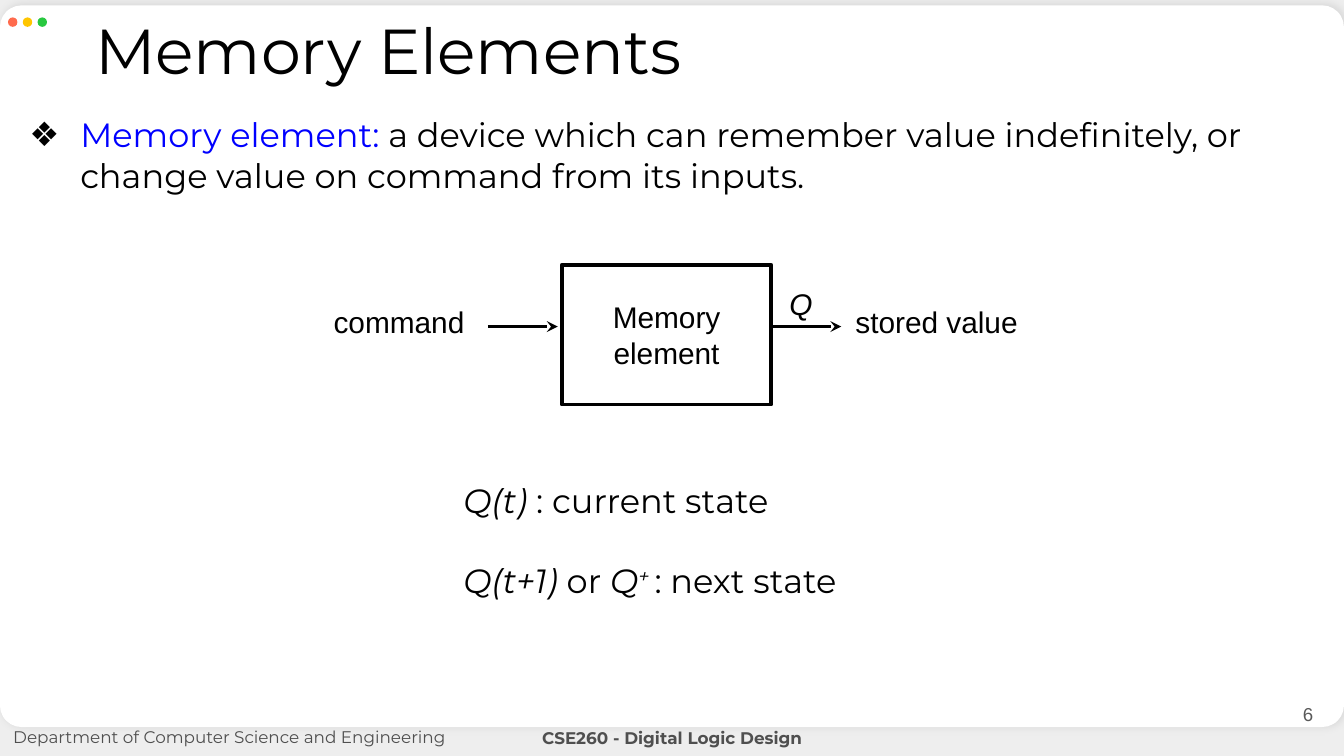
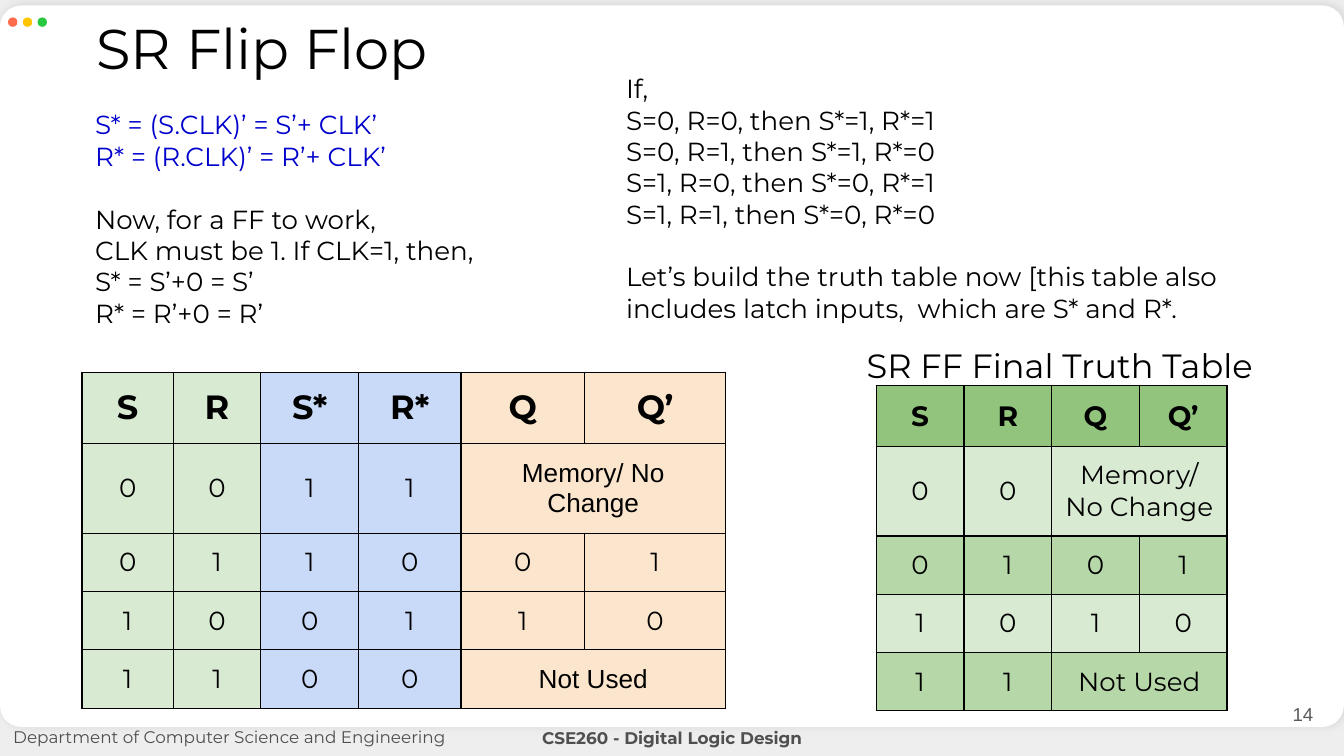
from dataclasses import dataclass

from lxml import etree
from pptx import Presentation
from pptx.dml.color import RGBColor
from pptx.enum.shapes import MSO_CONNECTOR, MSO_SHAPE
from pptx.enum.text import MSO_ANCHOR, PP_ALIGN
from pptx.oxml.ns import qn
from pptx.util import Inches, Pt

LEFT, CENTER, RIGHT = PP_ALIGN.LEFT, PP_ALIGN.CENTER, PP_ALIGN.RIGHT
TOP, MIDDLE = MSO_ANCHOR.TOP, MSO_ANCHOR.MIDDLE
RECT, ROUNDED, OVAL = MSO_SHAPE.RECTANGLE, MSO_SHAPE.ROUNDED_RECTANGLE, MSO_SHAPE.OVAL
STRAIGHT = MSO_CONNECTOR.STRAIGHT


@dataclass(frozen=True)
class Theme:
    main_font: str = "Montserrat"
    plain_font: str = "Arial"
    backdrop: str = "EEEEEE"
    card: str = "FFFFFF"
    ink: str = "000000"
    footer_ink: str = "4F4F4F"
    number_ink: str = "595959"
    term: str = "0000FF"
    equation: str = "0000CC"
    dots: tuple = ("FF6B4D", "FFC600", "28C840")
    pale_green: str = "D9EAD3"
    mid_green: str = "B6D7A8"
    deep_green: str = "93C47D"
    pale_blue: str = "C9DAF8"
    pale_orange: str = "FCE5CD"
    body: int = 18
    diagram: int = 16
    final_header: int = 15
    detail: int = 14
    number: int = 10
    footer: int = 9
    line_height: float = 1.2


THEME = Theme()
ITALIC = {"italic": True}

DEPARTMENT = "Department of Computer Science and Engineering"
COURSE = "CSE260 - Digital Logic Design"

DEFINITION = [[
    ("Memory element:", {"color": THEME.term}),
    (" a device which can remember value indefinitely, or change value on command from its inputs.", {}),
]]
STATES = [
    [("Q(t) ", ITALIC), (": current state", {})],
    [("Q(t+1)", ITALIC), (" or ", {}), ("Q", ITALIC),
     ("+ ", {"italic": True, "raised": True}), (": next state", {})],
]
SIGNALS = [
    ("command ", 2.22, 2.17, 1.56, {"inset": 0.09}),
    ("stored value ", 6.22, 2.17, 1.56, {"inset": 0.09}),
    ("Q", 5.7, 2.08, 0.52, {"inset": 0.05, "italic": True}),
]
ARROW_STARTS = (3.63, 5.74)
ARROW_LENGTH, ARROW_Y = 0.52, 2.43

EQUATIONS = [
    [("S* = (S.CLK)’ = S’+ CLK’", {"color": THEME.equation})],
    [("R* = (R.CLK)’ = R’+ CLK’", {"color": THEME.equation})],
    "Now, for a FF to work,",
    "CLK must be 1. If CLK=1, then,",
    "S* = S’+0 = S’",
    "R* = R’+0 = R’",
]
CASES = [
    "If,",
    "S=0, R=0, then S*=1, R*=1",
    "S=0, R=1, then S*=1, R*=0",
    "S=1, R=0, then S*=0, R*=1",
    "S=1, R=1, then S*=0, R*=0",
    "Let’s build the truth table now [this table also includes latch inputs,  which are S* and R*.",
]
FINAL_TITLE = "SR FF Final Truth Table"
MERGED = None
HOLD, UNUSED = "Memory/ No Change", "Not Used"
LATCH_TABLE = [
    ["S", "R", "S*", "R*", "Q", "Q’"],
    ["0", "0", "1", "1", HOLD, MERGED],
    ["0", "1", "1", "0", "0", "1"],
    ["1", "0", "0", "1", "1", "0"],
    ["1", "1", "0", "0", UNUSED, MERGED],
]
FINAL_TABLE = [row[:2] + row[4:] for row in LATCH_TABLE]
FINAL_WIDTH = 2.61
LATCH_FILLS = [THEME.pale_green] * 2 + [THEME.pale_blue] * 2 + [THEME.pale_orange] * 2
FINAL_FILLS = [THEME.deep_green] + [THEME.pale_green, THEME.mid_green] * 2


def rgb(value):
    return RGBColor.from_string(value)


def add_xml(parent, tag, **attributes):
    return etree.SubElement(parent, qn(tag), attributes)


def style_run(run, size, font, color=THEME.ink, bold=False, italic=False, raised=False):
    run.font.name, run.font.size = font, Pt(size)
    run.font.bold, run.font.italic = bold, italic
    run.font.color.rgb = rgb(color)
    if raised:
        run._r.get_or_add_rPr().set("baseline", "30000")


def write(frame, paragraphs, size, font=THEME.main_font, align=LEFT, anchor=TOP,
          inset=0.1, gap_before=None, **style):
    frame.word_wrap = True
    frame.vertical_anchor = anchor
    frame.margin_left = frame.margin_right = Inches(0.1)
    frame.margin_top = frame.margin_bottom = Inches(inset)
    for index, content in enumerate(paragraphs):
        paragraph = frame.add_paragraph() if index else frame.paragraphs[0]
        paragraph.alignment = align
        if index == gap_before:
            paragraph.space_before = Pt(round(size * THEME.line_height, 1))
        for text, extra in [(content, {})] if isinstance(content, str) else content:
            run = paragraph.add_run()
            run.text = text
            style_run(run, size, font, **{**style, **extra})


def add_text(shapes, place, paragraphs, size, **options):
    frame = shapes.add_textbox(*map(Inches, place)).text_frame
    write(frame, paragraphs, size, **options)
    return frame


def add_shape(shapes, kind, place, fill=None, outline=None):
    shape = shapes.add_shape(kind, *map(Inches, place))
    shape.shadow.inherit = False
    if fill:
        shape.fill.solid()
        shape.fill.fore_color.rgb = rgb(fill)
    else:
        shape.fill.background()
    if outline:
        shape.line.color.rgb = rgb(THEME.ink)
        shape.line.width = Pt(outline)
    else:
        shape.line.fill.background()
    return shape


def add_arrow(shapes, start, length, y):
    arrow = shapes.add_connector(STRAIGHT, Inches(start), Inches(y), Inches(start + length), Inches(y))
    arrow.line.color.rgb = rgb(THEME.ink)
    arrow.line.width = Pt(1.5)
    add_xml(arrow.line._get_or_add_ln(), "a:tailEnd", type="stealth")
    add_xml(arrow._element.spPr, "a:effectLst")


def add_bullet(paragraph, symbol, left, hanging):
    properties = paragraph._p.get_or_add_pPr()
    properties.set("marL", str(Inches(left)))
    properties.set("indent", str(-Inches(hanging)))
    add_xml(add_xml(properties, "a:buClr"), "a:srgbClr", val=THEME.ink)
    add_xml(properties, "a:buSzPts", val=str(THEME.body * 100))
    add_xml(properties, "a:buFont", typeface=THEME.main_font)
    add_xml(properties, "a:buChar", char=symbol)


def add_borders(cell):
    properties = cell._tc.get_or_add_tcPr()
    for position, side in enumerate(("a:lnL", "a:lnR", "a:lnT", "a:lnB")):
        border = add_xml(properties, side, w=str(Pt(0.75)))
        add_xml(add_xml(border, "a:solidFill"), "a:srgbClr", val=THEME.ink)
        properties.insert(position, border)


def add_truth_table(slide, left, top, rows, widths, heights, fill_at, header_size, word_font):
    table = slide.shapes.add_table(
        len(rows), len(widths), Inches(left), Inches(top),
        Inches(sum(widths)), Inches(sum(heights))).table
    for column, width in zip(table.columns, widths):
        column.width = Inches(width)
    for r, values in enumerate(rows):
        table.rows[r].height = Inches(heights[r])
        for c, value in enumerate(values):
            cell = table.cell(r, c)
            cell.fill.solid()
            cell.fill.fore_color.rgb = rgb(fill_at(r, c))
            add_borders(cell)
            if value is MERGED:
                table.cell(r, c - 1).merge(cell)
                continue
            cell.vertical_anchor = MIDDLE
            cell.margin_left = cell.margin_right = Inches(0.1)
            cell.margin_top = cell.margin_bottom = Inches(0.1)
            cell.text_frame.text = value
            paragraph = cell.text_frame.paragraphs[0]
            paragraph.alignment = CENTER
            style_run(paragraph.runs[0], THEME.detail if r else header_size,
                      word_font if value in (HOLD, UNUSED) else THEME.main_font, bold=r == 0)


def start_slide(deck, title, title_place, title_size, number):
    slide = deck.slides.add_slide(deck.slide_layouts[6])
    slide.background.fill.solid()
    slide.background.fill.fore_color.rgb = rgb(THEME.backdrop)
    shapes = slide.shapes

    card = add_shape(shapes, ROUNDED, (0, 0.04, 10, 5.37), THEME.card)
    card.adjustments[0] = 0.03
    shadow = add_xml(card._element.spPr.find(qn("a:effectLst")), "a:outerShdw",
                     blurRad=str(Pt(4.5)), dist=str(Pt(1.5)), dir="0", algn="bl", rotWithShape="0")
    add_xml(add_xml(shadow, "a:srgbClr", val=THEME.ink), "a:alpha", val="9000")

    add_text(shapes, (9.27, 5.1, 0.6, 0.43), [number], THEME.number, font=THEME.plain_font,
             align=RIGHT, anchor=MIDDLE, color=THEME.number_ink)
    window_dots = shapes.add_group_shape().shapes
    for index, color in enumerate(THEME.dots):
        add_shape(window_dots, OVAL, (0.06 + 0.11 * index, 0.13, 0.07, 0.07), color)
    add_text(shapes, title_place, [title], title_size)
    add_text(shapes, (0, 5.33, 5.54, 0.37), [DEPARTMENT], THEME.footer, inset=0.14,
             color=THEME.footer_ink)
    add_text(shapes, (3.22, 5.34, 3.56, 0.35), [COURSE], THEME.footer, align=CENTER,
             color=THEME.footer_ink, bold=True)
    return slide


def build_memory_slide(deck):
    slide = start_slide(deck, "Memory Elements", (0.61, -0.02, 9.39, 0.77), 34, "6")
    definition = add_text(slide.shapes, (0, 0.75, 9.96, 1.11), DEFINITION, THEME.body)
    add_bullet(definition.paragraphs[0], "❖", 0.5, 0.38)

    diagram = slide.shapes.add_group_shape().shapes
    label = {"size": THEME.diagram, "font": THEME.plain_font, "align": CENTER}
    element = add_shape(diagram, RECT, (4.18, 1.97, 1.56, 1.04), outline=2)
    write(element.text_frame, ["Memory element"], anchor=MIDDLE, **label)
    for start in ARROW_STARTS:
        add_arrow(diagram, start, ARROW_LENGTH, ARROW_Y)
    for text, left, top, width, options in SIGNALS:
        add_text(diagram, (left, top, width, 0.52), [text], **label, **options)

    add_text(slide.shapes, (3.35, 3.47, 3.3, 1.24), STATES, THEME.body, gap_before=1)


def build_flip_flop_slide(deck):
    slide = start_slide(deck, "SR Flip Flop", (0.62, 0, 7.26, 0.71), 30, "14")
    add_truth_table(slide, 0.61, 2.77, LATCH_TABLE, (0.68, 0.65, 0.73, 0.76, 0.92, 1.05),
                    [0.53, 0.63] + [0.41] * 3, lambda r, c: LATCH_FILLS[c],
                    THEME.body, THEME.plain_font)
    add_truth_table(slide, 6.52, 2.87, FINAL_TABLE, [FINAL_WIDTH / 4] * 4, [0.43] * 5,
                    lambda r, c: FINAL_FILLS[r], THEME.final_header, THEME.main_font)
    add_text(slide.shapes, (6.35, 2.47, 3.11, 0.43), [FINAL_TITLE], THEME.body)
    add_text(slide.shapes, (0.61, 0.71, 3.06, 1.76), EQUATIONS, THEME.detail, gap_before=2)
    add_text(slide.shapes, (4.56, 0.44, 4.94, 1.76), CASES, THEME.detail, gap_before=5)


def main():
    deck = Presentation()
    deck.slide_width = Inches(10)
    deck.slide_height = Inches(10 * 9 / 16)
    build_memory_slide(deck)
    build_flip_flop_slide(deck)
    deck.save("out.pptx")


if __name__ == "__main__":
    main()
